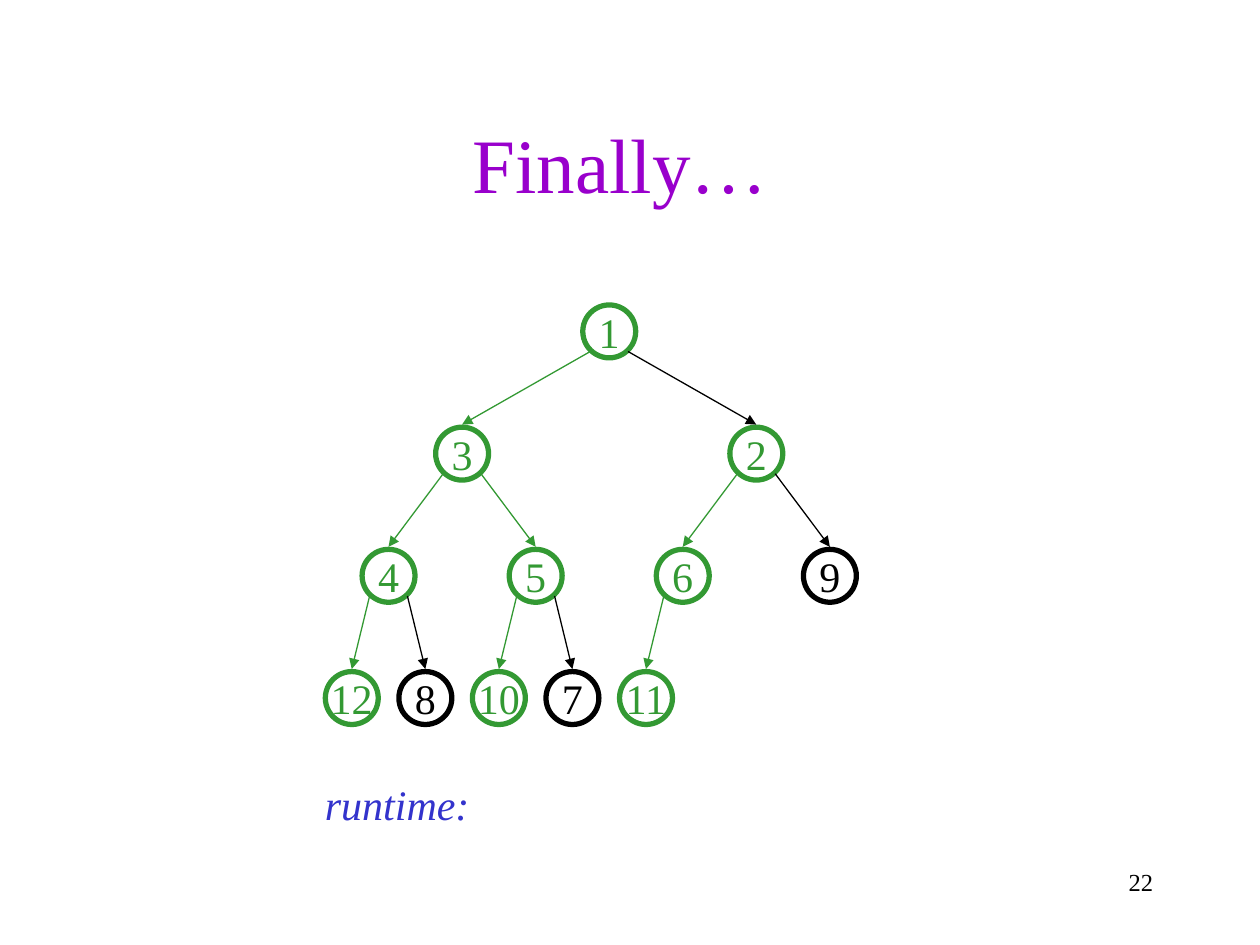
from lxml.etree import SubElement
from pptx import Presentation
from pptx.dml.color import RGBColor
from pptx.enum.shapes import MSO_CONNECTOR, MSO_SHAPE
from pptx.enum.text import MSO_ANCHOR, MSO_AUTO_SIZE, PP_ALIGN
from pptx.oxml.ns import qn
from pptx.util import Inches, Pt

PURPLE = RGBColor(0x99, 0x00, 0xCC)
GREEN = RGBColor(0x33, 0x99, 0x33)
BLUE = RGBColor(0x33, 0x33, 0xCC)
BLACK = RGBColor(0x00, 0x00, 0x00)

TREE_LEVELS = [["1"], ["3", "2"], ["4", "5", "6", "9"], ["12", "8", "10", "7", "11"]]
BLACK_NODES = {"7", "8", "9"}
BLACK_EDGES = BLACK_NODES | {"2"}
TREE_LEFT, TREE_WIDTH = 2.5, 4.67
ROOT_Y, LEVEL_GAP = 2.63, 0.97
NODE_SIZE = 0.42
EDGE_START_X, EDGE_START_Y, EDGE_END_Y = 0.15, 0.16, 0.23


class SlideBuilder:
    font_name = "Times New Roman"

    def __init__(self, presentation):
        self.slide = presentation.slides.add_slide(presentation.slide_layouts[5])

    def set_text(self, shape, text, size, color, alignment, italic=False):
        shape.text_frame.text = text
        paragraph = shape.text_frame.paragraphs[0]
        paragraph.alignment = alignment
        font = paragraph.runs[0].font
        font.name = self.font_name
        font.size = Pt(size)
        font.color.rgb = color
        font.italic = italic

    def title(self, text, left, top, width, height):
        title = self.slide.shapes.title
        title.left, title.top = Inches(left), Inches(top)
        title.width, title.height = Inches(width), Inches(height)
        self.set_text(title, text, 44, PURPLE, PP_ALIGN.CENTER)
        title.text_frame.vertical_anchor = MSO_ANCHOR.MIDDLE

    def text_box(self, text, left, top, width, height, size, color,
                 alignment=PP_ALIGN.LEFT, italic=False, wrap=True):
        box = self.slide.shapes.add_textbox(
            Inches(left), Inches(top), Inches(width), Inches(height))
        self.set_text(box, text, size, color, alignment, italic)
        box.text_frame.word_wrap = wrap
        if not wrap:
            box.text_frame.auto_size = MSO_AUTO_SIZE.SHAPE_TO_FIT_TEXT

    def node(self, label, center_x, center_y, color):
        circle = self.slide.shapes.add_shape(
            MSO_SHAPE.OVAL, Inches(center_x - NODE_SIZE / 2),
            Inches(center_y - NODE_SIZE / 2), Inches(NODE_SIZE), Inches(NODE_SIZE))
        circle.shadow.inherit = False
        circle.fill.background()
        circle.line.color.rgb = color
        circle.line.width = Pt(3)
        self.set_text(circle, label, 24, color, PP_ALIGN.CENTER)
        circle.text_frame.word_wrap = False
        circle.text_frame.vertical_anchor = MSO_ANCHOR.MIDDLE

    def arrow(self, start_x, start_y, end_x, end_y, color):
        connector = self.slide.shapes.add_connector(
            MSO_CONNECTOR.STRAIGHT, Inches(start_x), Inches(start_y),
            Inches(end_x), Inches(end_y))
        connector.line.color.rgb = color
        connector.line.width = Pt(0.75)
        properties = connector.element.spPr
        SubElement(properties.find(qn("a:ln")), qn("a:tailEnd"), type="triangle")
        SubElement(properties, qn("a:effectLst"))


def node_center(level, index):
    x = TREE_LEFT + TREE_WIDTH * (index + 0.5) / 2 ** level
    return x, ROOT_Y + LEVEL_GAP * level


def draw_tree(builder):
    for level, labels in enumerate(TREE_LEVELS):
        for index, label in enumerate(labels):
            x, y = node_center(level, index)
            builder.node(label, x, y, BLACK if label in BLACK_NODES else GREEN)
            if level > 0:
                parent_x, parent_y = node_center(level - 1, index // 2)
                side = 1 if index % 2 else -1
                builder.arrow(parent_x + side * EDGE_START_X, parent_y + EDGE_START_Y,
                              x, y - EDGE_END_Y,
                              BLACK if label in BLACK_EDGES else GREEN)


def main():
    presentation = Presentation()
    presentation.slide_width = Inches(10)
    presentation.slide_height = Inches(7.5)
    builder = SlideBuilder(presentation)
    builder.title("Finally… ", 0.75, 0.67, 8.5, 1.25)
    draw_tree(builder)
    builder.text_box("runtime:", 2.48, 6.13, 1.35, 0.5, 24, BLUE,
                     italic=True, wrap=False)
    builder.text_box("22", 7.17, 6.83, 2.08, 0.5, 14, BLACK, PP_ALIGN.RIGHT)
    presentation.save("out.pptx")


if __name__ == "__main__":
    main()
